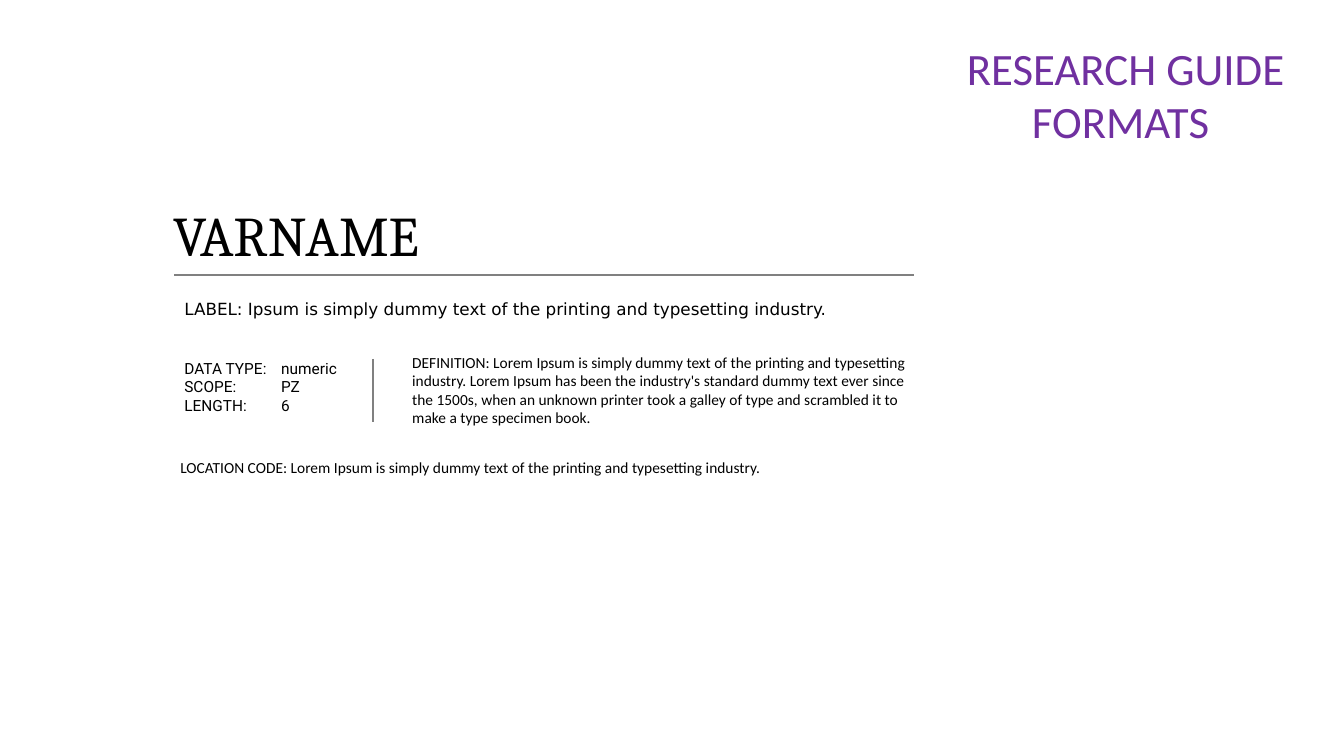
from dataclasses import dataclass

from lxml import etree
from pptx import Presentation
from pptx.dml.color import RGBColor
from pptx.enum.shapes import MSO_CONNECTOR
from pptx.enum.text import MSO_ANCHOR, MSO_AUTO_SIZE, PP_ALIGN
from pptx.oxml.ns import qn
from pptx.util import Inches, Pt

STRAIGHT = MSO_CONNECTOR.STRAIGHT
TOP = MSO_ANCHOR.TOP
NO_AUTOFIT = MSO_AUTO_SIZE.NONE
CENTER, LEFT = PP_ALIGN.CENTER, PP_ALIGN.LEFT

PURPLE, BLACK, GRAY = "7030A0", "000000", "808080"
VALUE_TAB = 0.96


@dataclass
class TextBlock:
    left: float
    top: float
    width: float
    height: float
    lines: list[str]
    font: str
    size: float
    color: str = BLACK
    align: PP_ALIGN = LEFT


@dataclass
class Rule:
    x1: float
    y1: float
    x2: float
    y2: float
    weight: float


def rgb(color: str) -> RGBColor:
    return RGBColor.from_string(color)


def add_tab_stop(p, position: float) -> None:
    tabs = etree.SubElement(p._p.get_or_add_pPr(), qn("a:tabLst"))
    etree.SubElement(tabs, qn("a:tab"), pos=str(Inches(position)), algn="l")


def fill_text(s, block: TextBlock) -> None:
    s.left, s.top = Inches(block.left), Inches(block.top)
    s.width, s.height = Inches(block.width), Inches(block.height)
    tf = s.text_frame
    tf.word_wrap = True
    tf.auto_size = NO_AUTOFIT
    tf.vertical_anchor = TOP
    for i, line in enumerate(block.lines):
        p = tf.add_paragraph() if i else tf.paragraphs[0]
        p.alignment = block.align
        if "\t" in line:
            add_tab_stop(p, VALUE_TAB)
        r = p.add_run()
        r.text = line
        r.font.name = block.font
        r.font.size = Pt(block.size)
        r.font.color.rgb = rgb(block.color)


def add_rule(slide, rule: Rule) -> None:
    line = slide.shapes.add_connector(
        STRAIGHT, Inches(rule.x1), Inches(rule.y1), Inches(rule.x2), Inches(rule.y2))
    line.line.color.rgb = rgb(GRAY)
    line.line.width = Pt(rule.weight)
    etree.SubElement(line._element.spPr, qn("a:effectLst"))


TITLE = TextBlock(9.26, 0.35, 3.81, 1.18, ["RESEARCH GUIDE FORMATS "],
                  "Calibri", 32, PURPLE, CENTER)

BLOCKS = [
    # Variable name
    TextBlock(1.62, 1.94, 5.1, 1.01, ["VARNAME"], "Cambria", 40),
    # Definition
    TextBlock(3.99, 3.45, 5.1, 0.84, [
        "DEFINITION: Lorem Ipsum is simply dummy text of the printing and "
        "typesetting industry. Lorem Ipsum has been the industry's standard "
        "dummy text ever since the 1500s, when an unknown printer took a galley "
        "of type and scrambled it to make a type specimen book."], "Calibri", 11),
    # Label
    TextBlock(1.73, 2.91, 7.12, 0.3, [
        "LABEL: Ipsum is simply dummy text of the printing and typesetting "
        "industry."], "DejaVu Sans", 12),
    # Attributes
    TextBlock(1.73, 3.51, 1.98, 0.66,
              ["DATA TYPE:\tnumeric", "SCOPE:\tPZ", "LENGTH:\t6"], "Roboto", 11),
    # Location code
    TextBlock(1.69, 4.5, 7.44, 0.29, [
        "LOCATION CODE: Lorem Ipsum is simply dummy text of the printing and "
        "typesetting industry."], "Calibri", 11),
]

RULES = [
    Rule(1.73, 2.73, 9.07, 2.73, 1),  # under the variable name
    Rule(3.7, 3.56, 3.7, 4.19, 2),    # between attributes and definition
]

prs = Presentation()
prs.slide_width, prs.slide_height = Inches(13.33), Inches(7.5)
slide = prs.slides.add_slide(prs.slide_layouts[5])

# Title
fill_text(slide.shapes.title, TITLE)

# Variable entry
for block in BLOCKS:
    fill_text(slide.shapes.add_textbox(0, 0, 0, 0), block)
for rule in RULES:
    add_rule(slide, rule)

prs.save("out.pptx")
